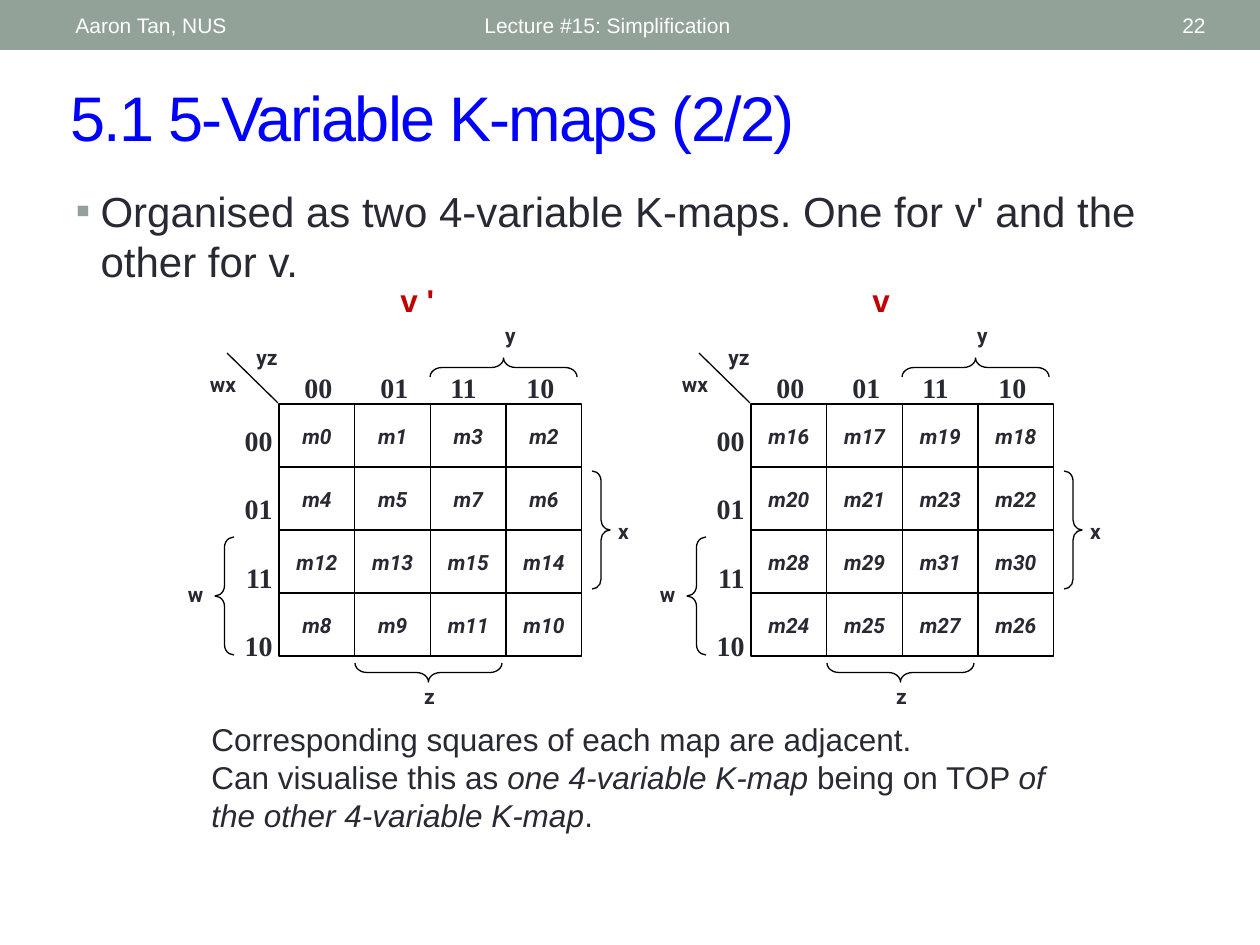
from lxml.etree import SubElement
from pptx import Presentation
from pptx.dml.color import RGBColor
from pptx.enum.shapes import MSO_CONNECTOR, MSO_SHAPE
from pptx.enum.text import MSO_ANCHOR, MSO_AUTO_SIZE, PP_ALIGN
from pptx.oxml.ns import qn
from pptx.util import Emu, Pt

EMU_PER_PIXEL = 914400 / 126
WHITE = RGBColor(0xFF, 0xFF, 0xFF)
BLACK = RGBColor(0, 0, 0)
BLUE = RGBColor(0, 0, 0xFF)
RED = RGBColor(0xC0, 0, 0)
INK = RGBColor(0x29, 0x29, 0x34)
SAGE = RGBColor(0x93, 0xA2, 0x99)

# Gray-code order of rows and columns, and the K-map grid
GRAY_CODE = (0, 1, 3, 2)
GRAY_LABELS = [f"{code:02b}" for code in GRAY_CODE]
GRID_TOP, CELL_WIDTH, CELL_HEIGHT = 404, 75.67, 63
GRID_WIDTH, GRID_HEIGHT = 4 * CELL_WIDTH, 4 * CELL_HEIGHT


def px(value):
    return Emu(round(value * EMU_PER_PIXEL))


def place(shape, left, top, width, height):
    shape.left, shape.top = px(left), px(top)
    shape.width, shape.height = px(width), px(height)


def add_run(paragraph, text, size, color, font="Arial", bold=False, italic=False):
    run = paragraph.add_run()
    run.text = text
    run.font.name, run.font.size = font, Pt(size)
    run.font.bold, run.font.italic = bold, italic
    run.font.color.rgb = color
    return run


def add_text_box(shapes, box, align=PP_ALIGN.LEFT, anchor=MSO_ANCHOR.TOP):
    frame = shapes.add_textbox(*map(px, box)).text_frame
    frame.word_wrap = True
    frame.vertical_anchor = anchor
    frame.paragraphs[0].alignment = align
    return frame


def add_label(shapes, text, box, italic=False):
    frame = add_text_box(shapes, box, PP_ALIGN.CENTER)
    add_run(frame.paragraphs[0], text, 12, INK, "Roboto", True, italic)


def add_line(shapes, x1, y1, x2, y2):
    line = shapes.add_connector(MSO_CONNECTOR.STRAIGHT, px(x1), px(y1), px(x2), px(y2))
    line.line.color.rgb = BLACK
    line.line.width = Pt(0.75)
    SubElement(line._element.spPr, qn("a:effectLst"))


def add_outline(shapes, preset, box):
    shape = shapes.add_shape(preset, *map(px, box))
    shape.shadow.inherit = False
    shape.fill.background()
    shape.line.color.rgb = BLACK
    shape.line.width = Pt(0.75)
    return shape


def add_brace(shapes, box, curve, rotation=0):
    brace = add_outline(shapes, MSO_SHAPE.LEFT_BRACE, box)
    brace.adjustments[0] = curve
    brace.rotation = rotation


def add_header(slide):
    bar = slide.shapes.add_shape(MSO_SHAPE.RECTANGLE, 0, 0, px(1260), px(50))
    bar.shadow.inherit = False
    bar.fill.solid()
    bar.fill.fore_color.rgb = SAGE
    bar.line.fill.background()
    for text, left, width, align in (
        ("Aaron Tan, NUS", 63, 400, PP_ALIGN.LEFT),
        ("Lecture #15: Simplification", 472, 567, PP_ALIGN.LEFT),
        ("22", 1098, 120, PP_ALIGN.RIGHT),
    ):
        frame = add_text_box(slide.shapes, (left, 3, width, 45), align, MSO_ANCHOR.MIDDLE)
        add_run(frame.paragraphs[0], text, 12, WHITE)


def add_title(slide, text):
    title = slide.shapes.title
    place(title, 58, 72, 1143, 88)
    title.text_frame.auto_size = MSO_AUTO_SIZE.NONE
    title.text_frame.vertical_anchor = MSO_ANCHOR.MIDDLE
    paragraph = title.text_frame.paragraphs[0]
    paragraph.alignment = PP_ALIGN.LEFT
    run = add_run(paragraph, text, 36, BLUE)
    run.font._element.set("spc", "-100")


def add_body(slide, text):
    body = slide.placeholders[1]
    place(body, 63, 179, 1134, 126)
    body.text_frame.auto_size = MSO_AUTO_SIZE.NONE
    paragraph = body.text_frame.paragraphs[0]
    paragraph.space_before = Pt(4.8)
    add_run(paragraph, text, 24, INK)
    properties = paragraph._p.get_or_add_pPr()
    properties.set("marL", str(px(25)))
    properties.set("indent", str(px(-25)))
    bullet_color = SubElement(properties, qn("a:buClr"))
    SubElement(bullet_color, qn("a:srgbClr"), val=str(SAGE))
    SubElement(properties, qn("a:buFont"), typeface="Arial")
    SubElement(properties, qn("a:buChar"), char="▪")


def add_axis_codes(shapes, left):
    # Row codes, one paragraph each
    frame = add_text_box(shapes, (left - 50, 417, 56, 261))
    for index, code in enumerate(GRAY_LABELS):
        paragraph = frame.add_paragraph() if index else frame.paragraphs[0]
        paragraph.alignment = PP_ALIGN.RIGHT
        paragraph.space_before = Pt(20 if index else 0)
        add_run(paragraph, code, 16, INK, "Times New Roman", True)
    # Column codes, set on tab stops
    paragraph = add_text_box(shapes, (left + 13, 364, 282, 50)).paragraphs[0]
    add_run(paragraph, "\t".join(GRAY_LABELS), 16, INK, "Times New Roman", True)
    tabs = SubElement(paragraph._p.get_or_add_pPr(), qn("a:tabLst"))
    for position in (76, 146, 222):
        SubElement(tabs, qn("a:tab"), pos=str(px(position)), algn="l")


def add_kmap(slide, heading, left, first_minterm):
    shapes = slide.shapes.add_group_shape().shapes
    right, bottom = left + GRID_WIDTH, GRID_TOP + GRID_HEIGHT

    # Grid
    add_outline(shapes, MSO_SHAPE.RECTANGLE, (left, GRID_TOP, GRID_WIDTH, GRID_HEIGHT))
    for step in (1, 2, 3):
        x, y = left + step * CELL_WIDTH, GRID_TOP + step * CELL_HEIGHT
        add_line(shapes, left, y, right, y)
        add_line(shapes, x, GRID_TOP, x, bottom)

    # Minterms
    for row, row_code in enumerate(GRAY_CODE):
        for column, column_code in enumerate(GRAY_CODE):
            box = (left + column * CELL_WIDTH, GRID_TOP + 13 + row * CELL_HEIGHT, 76, 50)
            add_label(shapes, f"m{first_minterm + 4 * row_code + column_code}", box, True)

    # Axis codes and corner
    add_axis_codes(shapes, left)
    add_line(shapes, left - 1, GRID_TOP - 1, left - 52, GRID_TOP - 51)

    # Variable names
    for name, offset, top, width, height in (
        ("wx", -89, 365, 66, 45),
        ("yz", -45, 338, 66, 40),
        ("w", -111, 575, 55, 50),
        ("x", 317, 512, 55, 50),
        ("y", 204, 316, 55, 40),
        ("z", 123, 677, 55, 38),
    ):
        add_label(shapes, name, (left + offset, top, width, height))

    # Braces for w, x, y and z
    add_brace(shapes, (left - 64, 537, 19, 118), 0.54)
    add_brace(shapes, (left + 313, 471, 18, 118), 0.55, 180)
    add_brace(shapes, (left + 215, 294, 19, 147), 0.63, 90)
    add_brace(shapes, (left + 140, 599, 19, 147), 0.63, 270)

    # Heading
    frame = add_text_box(slide.shapes, (left + 109, 275, 63, 50))
    frame.paragraphs[0].space_before = Pt(9)
    add_run(frame.paragraphs[0], heading, 18, RED, bold=True)


def add_remarks(slide):
    frame = add_text_box(slide.shapes, (199, 714, 892, 126))
    add_run(frame.paragraphs[0], "Corresponding squares of each map are adjacent.", 18, INK)
    paragraph = frame.add_paragraph()
    for text, italic in (
        ("Can visualise this as ", False),
        ("one 4-variable K-map", True),
        (" being on TOP ", False),
        ("of the other 4-variable K-map", True),
        (".", False),
    ):
        add_run(paragraph, text, 18, INK, italic=italic)


def main():
    presentation = Presentation()
    presentation.slide_width, presentation.slide_height = px(1260), px(945)
    slide = presentation.slides.add_slide(presentation.slide_layouts[1])
    add_header(slide)
    add_title(slide, "5.1 5-Variable K-maps (2/2)")
    add_body(slide, "Organised as two 4-variable K-maps. One for v' and the other for v.")
    add_kmap(slide, "v '", 279, 0)
    add_kmap(slide, "v", 751, 16)
    add_remarks(slide)
    presentation.save("out.pptx")


main()
